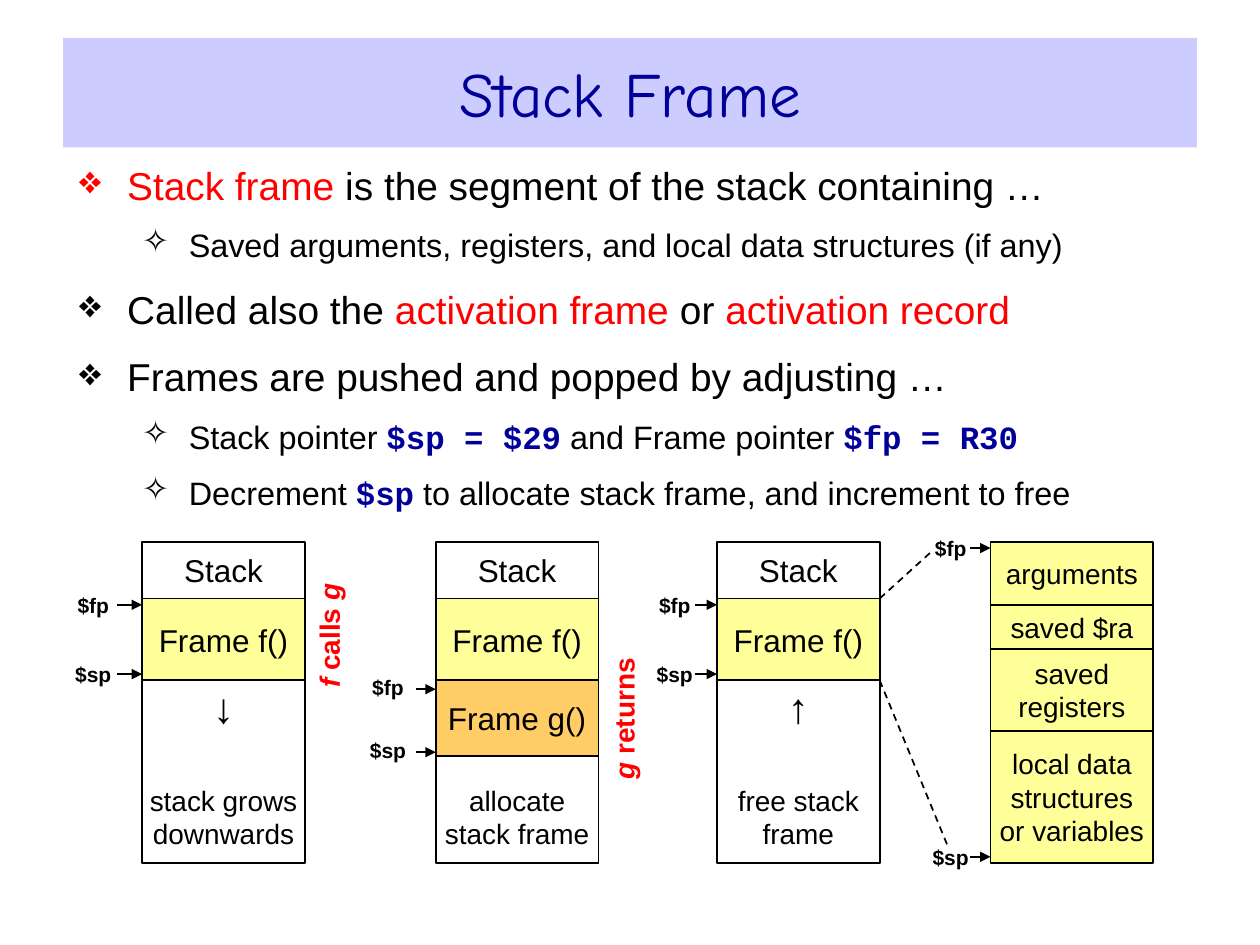
from typing import NamedTuple

from lxml.etree import SubElement
from pptx import Presentation
from pptx.dml.color import RGBColor
from pptx.enum.dml import MSO_LINE
from pptx.enum.shapes import MSO_CONNECTOR, MSO_SHAPE
from pptx.enum.text import MSO_ANCHOR, PP_ALIGN
from pptx.oxml.ns import qn
from pptx.util import Pt

BLACK = RGBColor(0x00, 0x00, 0x00)
WHITE = RGBColor(0xFF, 0xFF, 0xFF)
RED = RGBColor(0xFF, 0x00, 0x00)
NAVY = RGBColor(0x00, 0x00, 0x99)
LILAC = RGBColor(0xCC, 0xCC, 0xFF)
YELLOW = RGBColor(0xFF, 0xFF, 0x99)
ORANGE = RGBColor(0xFF, 0xCC, 0x66)

WIDE = 93  # width of every stack
TOP, FRAME, BASE, END = 309.6, 342, 388.8, 493.2  # shared row edges


class Run(NamedTuple):
    text: str
    color: RGBColor = BLACK
    code: bool = False
    slant: bool = False


class Line(NamedTuple):
    text: str
    size: float = 18
    bold: bool = False
    before: float = 0


class Item(NamedTuple):
    level: int
    runs: list[Run]
    mark: RGBColor = BLACK


class Cell(NamedTuple):
    top: float
    bottom: float
    fill: RGBColor
    lines: list[Line]
    low: bool = False  # text sits at the bottom


class Tag(NamedTuple):
    text: str
    left: float
    width: float
    y: float  # height of the arrow
    start: float
    end: float
    drop: float = 0  # label offset from the arrow


class Note(NamedTuple):
    left: float
    top: float
    width: float
    runs: list[Run]


def inset(frame, x: float = 0, y: float = 0) -> None:
    frame.word_wrap = True
    frame.margin_left = frame.margin_right = Pt(x)
    frame.margin_top = frame.margin_bottom = Pt(y)


def style(font, size: float, color: RGBColor = BLACK, bold: bool = False) -> None:
    font.name, font.size, font.bold = "Arial", Pt(size), bold
    font.color.rgb = color


def add_runs(para, runs: list[Run]) -> None:
    for run in runs:
        part = para.add_run()
        part.text = run.text
        part.font.color.rgb = run.color
        if run.slant:
            part.font.italic = True
        if run.code:
            part.font.name, part.font.bold = "Courier New", True


def add_item(para, item: Item) -> None:
    sign, size, left, hang, gap = [("❖", 22.2, 27.4, 27.4, 12),
                                   ("✧", 18.5, 62.6, 26.6, 10)][item.level]
    para.level = item.level
    para.space_before = Pt(gap)
    props = para._p.get_or_add_pPr()
    props.set("marL", str(Pt(left)))
    props.set("indent", str(-Pt(hang)))
    tint = SubElement(props, qn("a:buClr"))
    SubElement(tint, qn("a:srgbClr")).set("val", str(item.mark))
    SubElement(props, qn("a:buChar")).set("char", sign)
    style(para.font, size)
    add_runs(para, item.runs)


def add_cell(shapes, left: float, cell: Cell) -> None:
    box = shapes.add_shape(MSO_SHAPE.RECTANGLE, Pt(left), Pt(cell.top),
                           Pt(WIDE), Pt(cell.bottom - cell.top))
    box.shadow.inherit = False
    box.fill.solid()
    box.fill.fore_color.rgb = cell.fill
    box.line.color.rgb = BLACK
    box.line.width = Pt(1)
    frame = box.text_frame
    inset(frame)
    frame.vertical_anchor = MSO_ANCHOR.MIDDLE
    if cell.low:
        frame.vertical_anchor = MSO_ANCHOR.BOTTOM
        frame.margin_bottom = Pt(7.2)
    for i, line in enumerate(cell.lines):
        para = frame.add_paragraph() if i else frame.paragraphs[0]
        para.text = line.text
        para.alignment = PP_ALIGN.CENTER
        para.space_before = Pt(line.before)
        style(para.font, line.size, bold=line.bold)


def add_line(shapes, x1: float, y1: float, x2: float, y2: float,
             arrow: bool = False) -> None:
    link = shapes.add_connector(MSO_CONNECTOR.STRAIGHT, Pt(x1), Pt(y1), Pt(x2), Pt(y2))
    link.line.color.rgb = BLACK
    link.line.width = Pt(1)
    if arrow:
        SubElement(link.line._get_or_add_ln(), qn("a:tailEnd")).set("type", "triangle")
    else:
        link.line.dash_style = MSO_LINE.DASH
    SubElement(link._element.spPr, qn("a:effectLst"))


def add_tag(shapes, tag: Tag) -> None:
    add_line(shapes, tag.start, tag.y, tag.end, tag.y, arrow=True)
    box = shapes.add_textbox(Pt(tag.left), Pt(tag.y - 10.8 + tag.drop),
                             Pt(tag.width), Pt(21.6))
    inset(box.text_frame, y=3.6)
    para = box.text_frame.paragraphs[0]
    para.text = tag.text
    para.alignment = PP_ALIGN.CENTER
    style(para.font, 12, bold=True)


def add_note(shapes, note: Note) -> None:
    box = shapes.add_textbox(Pt(note.left), Pt(note.top), Pt(note.width), Pt(19.4))
    box.rotation = 270
    inset(box.text_frame)
    para = box.text_frame.paragraphs[0]
    para.alignment = PP_ALIGN.CENTER
    style(para.font, 16, RED, True)
    add_runs(para, note.runs)


ITEMS = [
    Item(0, [Run("Stack frame", RED), Run(" is the segment of the stack containing …")], RED),
    Item(1, [Run("Saved arguments, registers, and local data structures (if any)")]),
    Item(0, [Run("Called also the "), Run("activation frame", RED), Run(" or "),
             Run("activation record", RED)]),
    Item(0, [Run("Frames are pushed and popped by adjusting …")]),
    Item(1, [Run("Stack pointer "), Run("$sp = $29", NAVY, True),
             Run(" and Frame pointer "), Run("$fp = R30", NAVY, True)]),
    Item(1, [Run("Decrement "), Run("$sp", NAVY, True),
             Run(" to allocate stack frame, and increment to free")]),
]


def free(arrow: str, text: str) -> Cell:
    return Cell(BASE, END, WHITE,
                [Line(arrow, 24, True, 6), Line(text, 16, before=29.2)], True)


HEAD = [Cell(FRAME, BASE, YELLOW, [Line("Frame f()")]),
        Cell(TOP, FRAME, WHITE, [Line("Stack")])]
STACKS = {
    81.2: HEAD + [free("↓", "stack grows downwards")],
    249: HEAD + [Cell(432, END, WHITE, [Line("allocate stack frame", 16)], True),
                 Cell(BASE, 432, ORANGE, [Line("Frame g()")])],
    409.7: HEAD + [free("↑", "free stack frame")],
    566: [Cell(TOP, 345.6, YELLOW, [Line("arguments", 16)]),
          Cell(345.6, 370.8, YELLOW, [Line("saved $ra", 16)]),
          Cell(370.8, 417.6, YELLOW, [Line("saved registers", 16)]),
          Cell(417.6, END, YELLOW, [Line("local data structures", 16),
                                    Line("or variables", 16)])],
}
TAGS = [Tag(text, left, width, y, start, end, drop)
        for left, width, start, end, drop, high, low in [
            (39.6, 27.4, 67, 81.2, 0, 345.6, 385.2),
            (210.2, 23, 237.6, 249, -1.2, 393.8, 429.8),
            (373.7, 23.8, 397.4, 409.7, 0, 345.6, 385.2),
            (532.1, 22.3, 554.4, 566, 0, 313.2, 489.6)]
        for text, y in (("$fp", high), ("$sp", low))]
NOTES = [
    Note(144.7, 353.5, 86.4, [Run("f", RED, slant=True), Run(" calls ", RED),
                              Run("g", RED, slant=True)]),
    Note(315.4, 401, 82, [Run("g", RED, slant=True), Run(" returns", RED)]),
]


def main() -> None:
    deck = Presentation()
    deck.slide_width, deck.slide_height = Pt(720), Pt(540)
    slide = deck.slides.add_slide(deck.slide_layouts[5])
    shapes = slide.shapes

    # Title band
    title = shapes.title
    title.left, title.top, title.width, title.height = Pt(36), Pt(21.6), Pt(648), Pt(62.6)
    title.fill.solid()
    title.fill.fore_color.rgb = LILAC
    title.text_frame.vertical_anchor = MSO_ANCHOR.MIDDLE
    para = title.text_frame.paragraphs[0]
    para.text = "Stack Frame"
    para.alignment = PP_ALIGN.CENTER
    style(para.font, 36, NAVY)
    para.font.name = "Comic Neue"

    # Bullet text
    body = shapes.add_textbox(Pt(38.2), Pt(88.6), Pt(643.7), Pt(208.8)).text_frame
    inset(body, 7.2, 3.6)
    for i, item in enumerate(ITEMS):
        add_item(body.add_paragraph() if i else body.paragraphs[0], item)

    # Stacks, their pointers and the steps between them
    for left, cells in STACKS.items():
        for cell in cells:
            add_cell(shapes, left, cell)
    for tag in TAGS:
        add_tag(shapes, tag)
    for note in NOTES:
        add_note(shapes, note)

    # Dashed lines that zoom in on the frame
    add_line(shapes, 502.7, BASE, 541.4, 483.1)
    add_line(shapes, 502.7, FRAME, 532.1, 315.4)

    deck.save("out.pptx")


if __name__ == "__main__":
    main()
